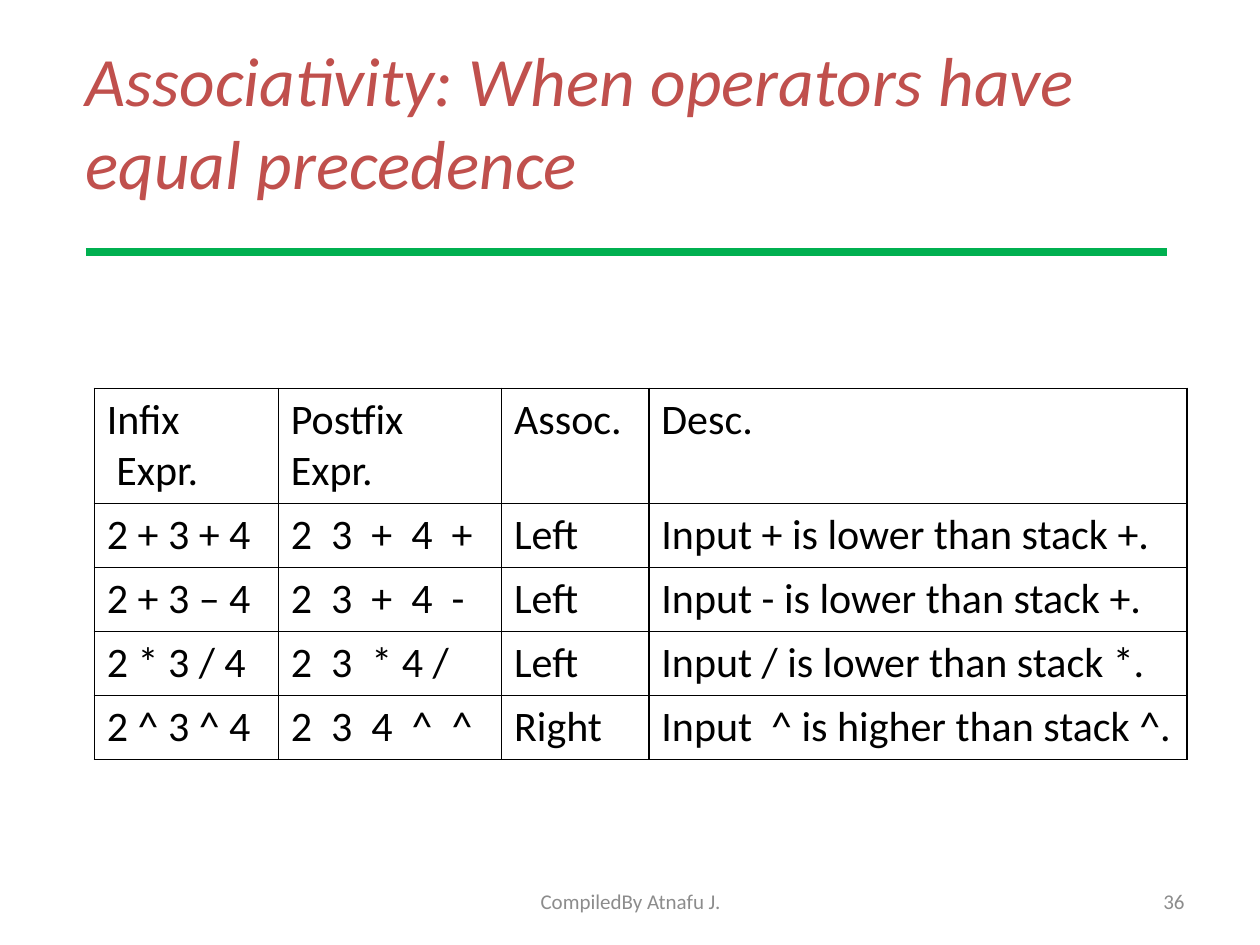
"""Build a slide with a table of operator associativity rules."""
from lxml import etree
from pptx import Presentation
from pptx.dml.color import RGBColor
from pptx.enum import shapes, text
from pptx.oxml import ns
from pptx.util import Cm, Pt

RED = RGBColor(0xC0, 0x50, 0x4D)
GREEN = RGBColor(0x00, 0xB0, 0x50)
GREY = RGBColor(0x8C, 0x8C, 0x8C)
BLACK = RGBColor(0, 0, 0)
WHITE = RGBColor(0xFF, 0xFF, 0xFF)
FONT = "Calibri"

TITLE = "Associativity: When operators have equal precedence"
ROWS = [
    ("Infix\n Expr.", "Postfix\nExpr.", "Assoc.", "Desc."),
    ("2 + 3 + 4", "2  3  +  4  +", "Left", "Input + is lower than stack +."),
    ("2 + 3 – 4", "2  3  +  4  -", "Left", "Input - is lower than stack +."),
    ("2 * 3 / 4", "2  3  * 4 /", "Left", "Input / is lower than stack *."),
    ("2 ^ 3 ^ 4", "2  3  4  ^  ^", "Right", "Input  ^ is higher than stack ^."),
]
COLUMN_WIDTHS = (3.71, 4.5, 2.97, 10.85)
ROW_HEIGHTS = (2.32, 1.29, 1.29, 1.29, 1.29)
FOOTERS = [
    ("CompiledBy Atnafu J.", 8.69, 8.05, text.PP_ALIGN.CENTER),
    ("36", 18.21, 5.92, text.PP_ALIGN.RIGHT),
]


def write(frame, content, size, color, align=text.PP_ALIGN.LEFT, italic=False):
    frame.text = content
    frame.word_wrap = True
    for para in frame.paragraphs:
        para.alignment = align
        for span in para.runs:
            span.font.name = FONT
            span.font.size = Pt(size)
            span.font.italic = italic
            span.font.color.rgb = color


def add_borders(cell):
    properties = cell._tc.get_or_add_tcPr()
    for position, side in enumerate(("lnL", "lnR", "lnT", "lnB")):
        border = etree.Element(ns.qn(f"a:{side}"), w=str(Pt(1)))
        fill = etree.SubElement(border, ns.qn("a:solidFill"))
        etree.SubElement(fill, ns.qn("a:srgbClr"), val=str(BLACK))
        properties.insert(position, border)


def add_title(page):
    title = page.shapes.title
    title.left, title.top, title.width, title.height = Cm(1.47), Cm(0.84), Cm(22.86), Cm(3.18)
    write(title.text_frame, TITLE, 39.6, RED, italic=True)
    title.text_frame.auto_size = text.MSO_AUTO_SIZE.NONE
    title.text_frame.vertical_anchor = text.MSO_ANCHOR.MIDDLE


def add_rule(page):
    rule = page.shapes.add_connector(
        shapes.MSO_CONNECTOR.STRAIGHT, Cm(1.73), Cm(5.08), Cm(23.52), Cm(5.08))
    rule.line.color.rgb = GREEN
    rule.line.width = Pt(4.25)
    etree.SubElement(rule._element.spPr, ns.qn("a:effectLst"))


def add_rules_table(page):
    table = page.shapes.add_table(
        len(ROWS), len(COLUMN_WIDTHS), Cm(1.9), Cm(7.83),
        Cm(sum(COLUMN_WIDTHS)), Cm(sum(ROW_HEIGHTS))).table
    table.first_row = table.horz_banding = False
    for column, width in zip(table.columns, COLUMN_WIDTHS):
        column.width = Cm(width)
    for row, height, contents in zip(table.rows, ROW_HEIGHTS, ROWS):
        row.height = Cm(height)
        for cell, content in zip(row.cells, contents):
            write(cell.text_frame, content, 24, BLACK)
            cell.fill.solid()
            cell.fill.fore_color.rgb = WHITE
            add_borders(cell)


def add_footers(page):
    for content, left, width, align in FOOTERS:
        box = page.shapes.add_textbox(Cm(left), Cm(17.65), Cm(width), Cm(1.02))
        box.text_frame.vertical_anchor = text.MSO_ANCHOR.MIDDLE
        write(box.text_frame, content, 12, GREY, align)


def main():
    deck = Presentation()
    deck.slide_width, deck.slide_height = Cm(25.4), Cm(19.05)
    page = deck.slides.add_slide(deck.slide_layouts[5])
    add_title(page)
    add_rule(page)
    add_rules_table(page)
    add_footers(page)
    deck.save("out.pptx")


if __name__ == "__main__":
    main()
